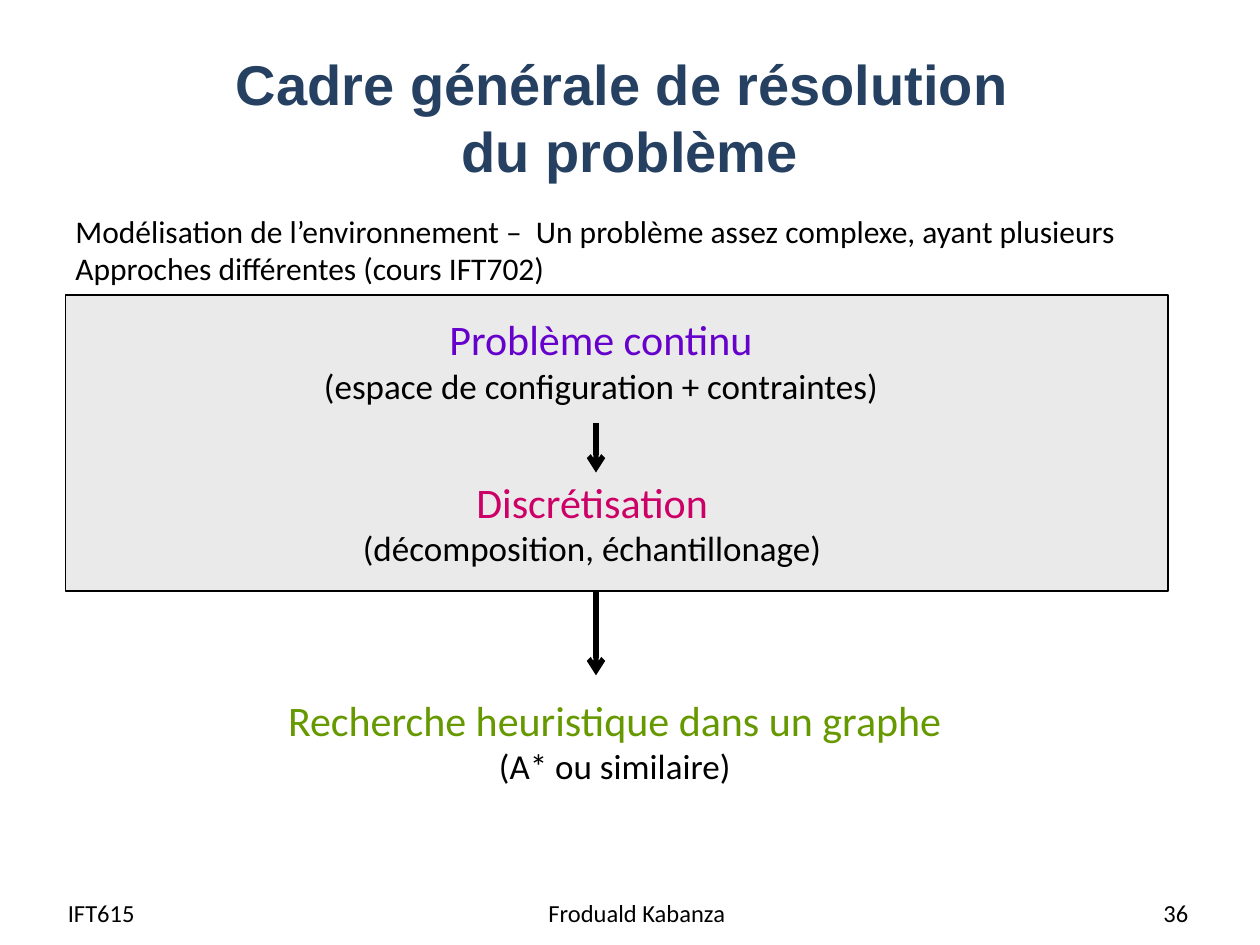
from copy import deepcopy
from dataclasses import dataclass

from lxml.etree import SubElement
from pptx import Presentation
from pptx.dml.color import RGBColor
from pptx.enum.shapes import MSO_CONNECTOR, MSO_SHAPE
from pptx.enum.text import MSO_ANCHOR, MSO_AUTO_SIZE, PP_ALIGN
from pptx.oxml.ns import qn
from pptx.util import Inches, Pt


@dataclass(frozen=True)
class Theme:
    """Hold the fonts, colours and type sizes of the slide."""
    title_font: str = "Arial"
    body_font: str = "Calibri"
    title: str = "254061"
    ink: str = "000000"
    panel: str = "EAEAEA"
    continuous: str = "6600CC"
    discrete: str = "CC0066"
    search: str = "669900"
    title_size: int = 32
    step_size: int = 24
    detail_size: int = 20
    note_size: int = 18
    footer_size: int = 14


THEME = Theme()


def write_text(paragraph, text, size, color=THEME.ink, font=THEME.body_font,
               bold=False, align=PP_ALIGN.LEFT):
    """Write formatted text, including its line breaks, into a paragraph."""
    paragraph.text = text
    paragraph.alignment = align
    for run in paragraph.runs:
        run.font.name = font
        run.font.size = Pt(size)
        run.font.bold = bold
        run.font.color.rgb = RGBColor.from_string(color)
    for line_break in paragraph._p.findall(qn("a:br")):
        line_break.insert(0, deepcopy(paragraph.runs[0]._r.rPr))


def add_text_box(slide, box, lines, wrap=False, anchor=MSO_ANCHOR.TOP):
    """Add a text box with one paragraph for each (text, format) pair."""
    shape = slide.shapes.add_textbox(*map(Inches, box))
    frame = shape.text_frame
    frame.word_wrap = wrap
    frame.auto_size = MSO_AUTO_SIZE.NONE if wrap else MSO_AUTO_SIZE.SHAPE_TO_FIT_TEXT
    frame.vertical_anchor = anchor
    for index, (text, style) in enumerate(lines):
        paragraph = frame.add_paragraph() if index else frame.paragraphs[0]
        write_text(paragraph, text, **style)


def add_title(slide, box):
    """Place the title placeholder in its box."""
    shape = slide.shapes.title
    shape.left, shape.top, shape.width, shape.height = map(Inches, box)
    shape.text_frame.vertical_anchor = MSO_ANCHOR.MIDDLE
    write_text(shape.text_frame.paragraphs[0],
               "Cadre générale de résolution \vdu problème",
               size=THEME.title_size, color=THEME.title, font=THEME.title_font,
               bold=True, align=PP_ALIGN.CENTER)


def add_introduction(slide, box):
    """Add the remark above the diagram."""
    lines = ("Modélisation de l’environnement –  Un problème assez complexe, ayant plusieurs",
             "Approches différentes (cours IFT702)")
    add_text_box(slide, box, [(line, {"size": THEME.note_size}) for line in lines])


def add_panel(slide, box):
    """Add the grey panel that groups the first two steps."""
    panel = slide.shapes.add_shape(MSO_SHAPE.RECTANGLE, *map(Inches, box))
    panel.shadow.inherit = False
    panel.fill.solid()
    panel.fill.fore_color.rgb = RGBColor.from_string(THEME.panel)
    panel.line.color.rgb = RGBColor.from_string(THEME.ink)
    panel.line.width = Pt(0.75)


def add_step(slide, box, name, detail, color):
    """Add a coloured step name with its detail below."""
    add_text_box(slide, box, [
        (name, {"size": THEME.step_size, "color": color, "align": PP_ALIGN.CENTER}),
        (detail, {"size": THEME.detail_size, "align": PP_ALIGN.CENTER}),
    ])


def add_down_arrow(slide, x, top, bottom):
    """Add a vertical arrow that points down."""
    arrow = slide.shapes.add_connector(
        MSO_CONNECTOR.STRAIGHT, Inches(x), Inches(top), Inches(x), Inches(bottom))
    arrow.line.color.rgb = RGBColor.from_string(THEME.ink)
    arrow.line.width = Pt(3)
    SubElement(arrow.line._get_or_add_ln(), qn("a:tailEnd"), type="arrow")
    SubElement(arrow._element.spPr, qn("a:effectLst"))


def add_diagram(slide, box):
    """Add the panel, the three steps and the arrows between them."""
    left, top, width, height = box
    panel_height = 2.35
    add_panel(slide, (left, top, width, panel_height))
    steps = (
        (1.92, 0.1, 4.66, "Problème continu",
         "(espace de configuration + contraintes)", THEME.continuous),
        (2.2, 1.39, 3.96, "Discrétisation",
         "(décomposition, échantillonage)", THEME.discrete),
        (1.63, height - 0.84, 5.46, "Recherche heuristique dans un graphe",
         "(A* ou similaire)", THEME.search),
    )
    for x, y, step_width, name, detail, color in steps:
        add_step(slide, (left + x, top + y, step_width, 0.84), name, detail, color)
    for start, end in ((1.02, 1.41), (panel_height, 3.02)):
        add_down_arrow(slide, left + 4.21, top + start, top + end)


def add_footer(slide, box):
    """Add the course, the author and the page number in one row."""
    left, top, width, height = box
    parts = (
        (0, 1.93, "IFT615", PP_ALIGN.LEFT),
        (3.03, 3.17, "Froduald Kabanza", PP_ALIGN.CENTER),
        (width - 2.33, 2.33, "36", PP_ALIGN.RIGHT),
    )
    for x, part_width, text, align in parts:
        add_text_box(slide, (left + x, top, part_width, height),
                     [(text, {"size": THEME.footer_size, "align": align})],
                     wrap=True, anchor=MSO_ANCHOR.MIDDLE)


def main():
    """Build the slide and save it."""
    presentation = Presentation()
    presentation.slide_width = Inches(10)
    presentation.slide_height = Inches(7.5)
    slide = presentation.slides.add_slide(presentation.slide_layouts.get_by_name("Title Only"))
    add_diagram(slide, (0.52, 2.34, 8.75, 3.96))
    add_footer(slide, (0.44, 7.04, 9.09, 0.4))
    add_title(slide, (0.5, 0.3, 9, 1.25))
    add_introduction(slide, (0.5, 1.63, 8.61, 0.71))
    presentation.save("out.pptx")


if __name__ == "__main__":
    main()
